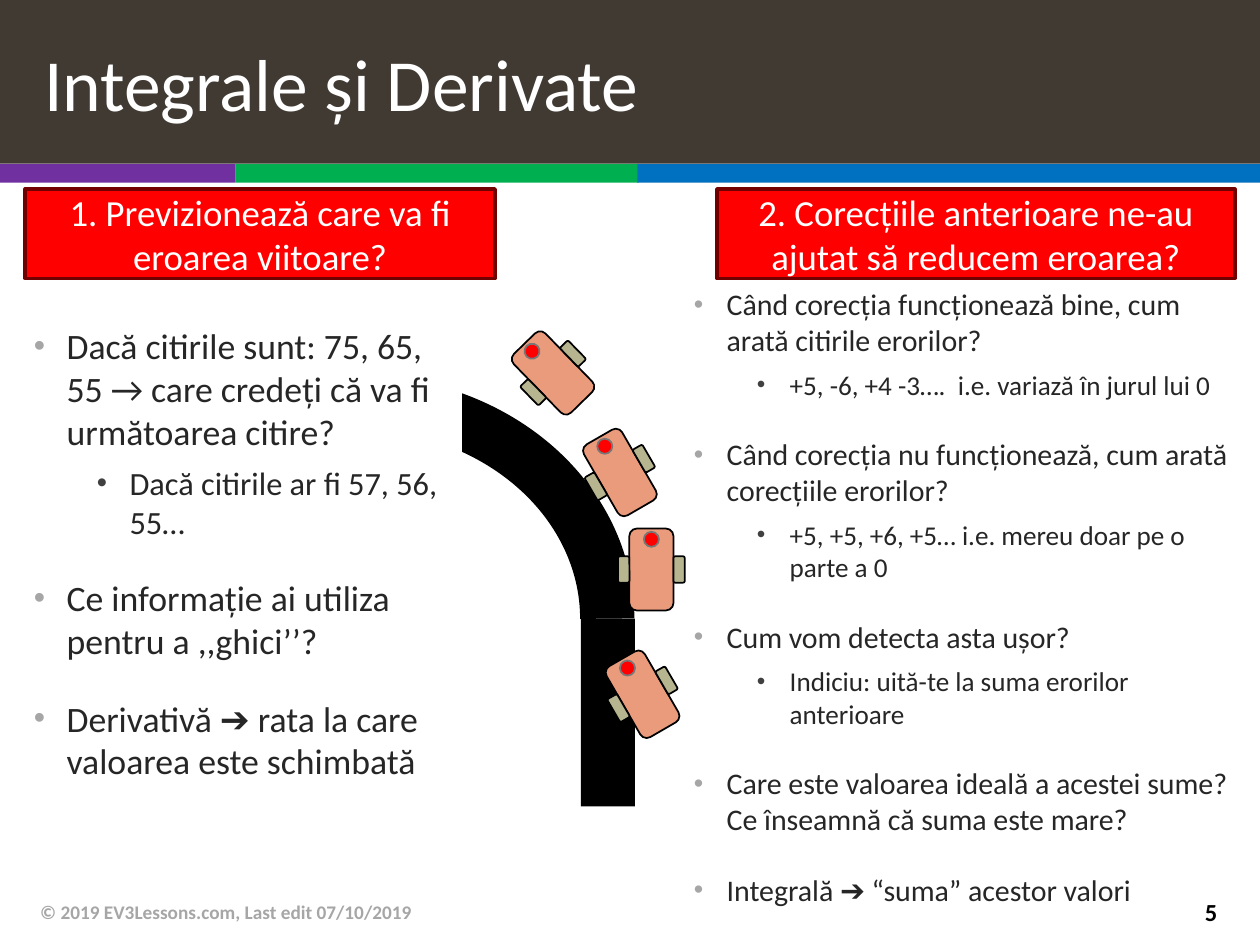
import math

import lxml.etree
import pptx
import pptx.dml.color
import pptx.enum.shapes
import pptx.enum.text
import pptx.oxml.ns
import pptx.util

Inches = pptx.util.Inches
Pt = pptx.util.Pt
RGBColor = pptx.dml.color.RGBColor
SHAPE = pptx.enum.shapes.MSO_SHAPE
ALIGN = pptx.enum.text.PP_ALIGN
ANCHOR = pptx.enum.text.MSO_ANCHOR
qn = pptx.oxml.ns.qn

WHITE = RGBColor(0xFF, 0xFF, 0xFF)
BLACK = RGBColor(0, 0, 0)
RED = RGBColor(0xFF, 0, 0)
DARK_RED = RGBColor(0x71, 0, 0)
BROWN = RGBColor(0x41, 0x3A, 0x33)
PURPLE = RGBColor(0x70, 0x30, 0xA0)
GREEN = RGBColor(0, 0xB0, 0x50)
BLUE = RGBColor(0, 0x70, 0xC0)
TEXT = RGBColor(0x26, 0x26, 0x26)
LIGHT_GRAY = RGBColor(0xA6, 0xA6, 0xA6)
DARK_GRAY = RGBColor(0x40, 0x40, 0x40)
CAR_BODY = RGBColor(0xEA, 0x9B, 0x7C)
CAR_WHEEL = RGBColor(0xB6, 0xB5, 0x90)
SENSOR_EDGE = RGBColor(0x77, 0x77, 0x77)

FONT = "Calibri"
# Left indent, space before, bullet colour for each outline level
LEVELS = [(0.26, 20, LIGHT_GRAY), (0.76, 6, DARK_GRAY)]
HANGING = 0.26

QUESTIONS_PREDICTION = [
    (0, "Dacă citirile sunt: 75, 65, 55 → care credeți că va fi următoarea citire?"),
    (1, "Dacă citirile ar fi 57, 56, 55…"),
    (0, "Ce informație ai utiliza pentru a ,,ghici’’?"),
    (0, "Derivativă ➔ rata la care valoarea este schimbată"),
]
QUESTIONS_CORRECTION = [
    (0, "Când corecția funcționează bine, cum arată citirile erorilor?"),
    (1, "+5, -6, +4 -3….  i.e. variază în jurul lui 0"),
    (0, "Când corecția nu funcționează, cum arată corecțiile erorilor?"),
    (1, "+5, +5, +6, +5… i.e. mereu doar pe o parte a 0"),
    (0, "Cum vom detecta asta ușor?"),
    (1, "Indiciu: uită-te la suma erorilor anterioare"),
    (0, "Care este valoarea ideală a acestei sume? Ce înseamnă că suma este mare?"),
    (0, "Integrală ➔ “suma” acestor valori"),
]
# Centre x, centre y, rotation of each car along the line
CARS = [(5.1, 5.51, 330), (5.17, 4.52, 0), (4.92, 3.75, 330), (4.39, 2.96, 315.8)]
# Preset, offset from the car's centre, size, fill, line
CAR_PARTS = [
    (SHAPE.ROUNDED_RECTANGLE, 0, 0, 0.35, 0.65, CAR_BODY, BLACK),
    (SHAPE.ROUNDED_RECTANGLE, 0.22, 0, 0.09, 0.21, CAR_WHEEL, BLACK),
    (SHAPE.ROUNDED_RECTANGLE, -0.22, 0, 0.09, 0.21, CAR_WHEEL, BLACK),
    (SHAPE.OVAL, 0, -0.24, 0.12, 0.12, RED, SENSOR_EDGE),
]


def add_shape(shapes, preset, left, top, width, height, fill=None, line=None, line_width=1):
    shape = shapes.add_shape(preset, Inches(left), Inches(top), Inches(width), Inches(height))
    shape.shadow.inherit = False
    if fill is None:
        shape.fill.background()
    else:
        shape.fill.solid()
        shape.fill.fore_color.rgb = fill
    if line is None:
        shape.line.fill.background()
    else:
        shape.line.color.rgb = line
        shape.line.width = Pt(line_width)
    return shape


def add_text_box(slide, left, top, width, height):
    return slide.shapes.add_textbox(Inches(left), Inches(top), Inches(width), Inches(height))


def style_font(paragraph, size, color, bold=False):
    paragraph.font.name = FONT
    paragraph.font.size = Pt(size)
    paragraph.font.color.rgb = color
    paragraph.font.bold = bold


def write_line(shape, text, size, color, alignment=ALIGN.LEFT, bold=False):
    """Put one vertically centred paragraph into a shape."""
    frame = shape.text_frame
    frame.word_wrap = True
    frame.vertical_anchor = ANCHOR.MIDDLE
    paragraph = frame.paragraphs[0]
    paragraph.text = text
    paragraph.alignment = alignment
    style_font(paragraph, size, color, bold)


def add_bullet(paragraph, indent, color):
    properties = paragraph._p.get_or_add_pPr()
    properties.set("marL", str(Inches(indent)))
    properties.set("indent", str(-Inches(HANGING)))
    bullet_color = lxml.etree.SubElement(properties, qn("a:buClr"))
    lxml.etree.SubElement(bullet_color, qn("a:srgbClr"), val=str(color))
    lxml.etree.SubElement(properties, qn("a:buSzPct"), val="90000")
    lxml.etree.SubElement(properties, qn("a:buFont"), typeface="Arial")
    lxml.etree.SubElement(properties, qn("a:buChar"), char="•")


def add_outline(slide, position, items, sizes):
    """Add a two-level bulleted list; sizes holds one text size per level."""
    frame = add_text_box(slide, *position).text_frame
    frame.word_wrap = True
    frame.margin_right = Inches(0.08)
    for index, (level, text) in enumerate(items):
        paragraph = frame.add_paragraph() if index else frame.paragraphs[0]
        indent, space_before, bullet_color = LEVELS[level]
        paragraph.text = text
        paragraph.level = level
        add_bullet(paragraph, indent, bullet_color)
        if index:
            paragraph.space_before = Pt(space_before)
        style_font(paragraph, sizes[level], TEXT)


def add_header(slide):
    for left, width, color in [(0, 1.87, PURPLE), (1.87, 3.2, GREEN), (5.06, 4.94, BLUE)]:
        add_shape(slide.shapes, SHAPE.RECTANGLE, left, 1.3, width, 0.15, color)
    title = add_shape(slide.shapes, SHAPE.RECTANGLE, 0, 0, 10, 1.3, BROWN)
    title.text_frame.margin_left = Inches(0.35)
    write_line(title, "Integrale și Derivate", 42, WHITE)


def add_footer(slide):
    notice = add_text_box(slide, 0.22, 7.04, 6.7, 0.4)
    write_line(notice, "© 2019 EV3Lessons.com, Last edit 07/10/2019", 11, LIGHT_GRAY, bold=True)
    number = add_text_box(slide, 9.07, 7.04, 0.69, 0.39)
    write_line(number, "5", 14, BLACK, ALIGN.RIGHT, bold=True)


def add_track(slide):
    """Draw the curved line to follow, its upper end cut off by a white block."""
    add_shape(slide.shapes, SHAPE.RECTANGLE, 4.61, 4.91, 0.43, 1.49, BLACK)
    add_shape(slide.shapes, SHAPE.ARC, 0.82, 3.19, 4, 3.44, line=BLACK, line_width=31)
    add_shape(slide.shapes, SHAPE.RECTANGLE, 2.24, 2.67, 1.41, 0.96, WHITE, WHITE, 2)


def add_car(slide, center_x, center_y, rotation):
    group = slide.shapes.add_group_shape()
    cosine, sine = math.cos(math.radians(rotation)), math.sin(math.radians(rotation))
    for preset, across, along, width, height, fill, line in CAR_PARTS:
        left = center_x + across * cosine - along * sine - width / 2
        top = center_y + across * sine + along * cosine - height / 2
        part = add_shape(group.shapes, preset, left, top, width, height, fill, line)
        part.rotation = rotation


def add_question(slide, left, width, text):
    box = add_shape(slide.shapes, SHAPE.RECTANGLE, left, 1.5, width, 0.71, RED, DARK_RED, 2)
    write_line(box, text, 21, WHITE, ALIGN.CENTER)


def main():
    presentation = pptx.Presentation()
    presentation.slide_width = Inches(10)
    presentation.slide_height = Inches(7.5)
    slide = presentation.slides.add_slide(presentation.slide_layouts[6])

    add_header(slide)
    add_footer(slide)
    add_track(slide)
    for car in CARS:
        add_car(slide, *car)
    add_question(slide, 0.2, 3.73, "1. Previzionează care va fi eroarea viitoare?")
    add_question(slide, 5.69, 4.11, "2. Corecțiile anterioare ne-au ajutat să reducem eroarea?")
    add_outline(slide, (0.17, 2.52, 3.61, 3.53), QUESTIONS_PREDICTION, (20.4, 18.5))
    add_outline(slide, (5.41, 2.22, 4.44, 5.01), QUESTIONS_CORRECTION, (17.1, 15.5))

    presentation.save("out.pptx")


if __name__ == "__main__":
    main()
